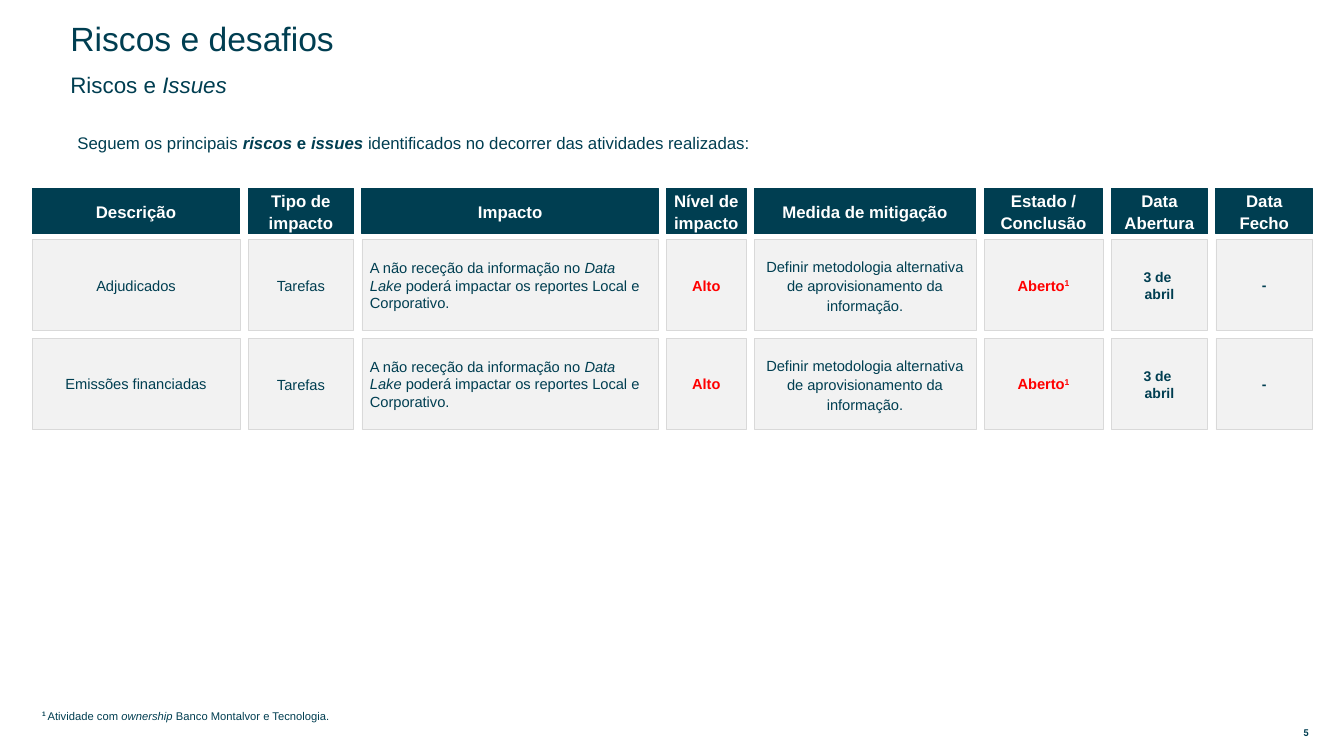
from dataclasses import dataclass
from itertools import accumulate

from pptx import Presentation
from pptx.dml.color import RGBColor
from pptx.enum.shapes import MSO_SHAPE
from pptx.enum.text import MSO_ANCHOR, PP_ALIGN
from pptx.util import Pt

PX = 9144  # EMU; 100 px to the inch

TEAL = RGBColor(0x00, 0x3E, 0x51)
WHITE = RGBColor(0xFF, 0xFF, 0xFF)
RED = RGBColor(0xFF, 0x00, 0x00)
CELL_FILL = RGBColor(0xF2, 0xF2, 0xF2)
CELL_LINE = RGBColor(0xD9, 0xD9, 0xD9)


@dataclass(frozen=True)
class Span:
    text: str
    italic: bool | None = None
    bold: bool | None = None
    raised: bool = False


@dataclass(frozen=True)
class Style:
    size: float
    color: RGBColor = TEAL
    bold: bool = False
    align: PP_ALIGN = PP_ALIGN.CENTER
    spacing: float = 1.0
    inset_x: int = 4
    inset_y: int = 4
    anchor: MSO_ANCHOR = MSO_ANCHOR.MIDDLE
    font: str = "Arial"


@dataclass(frozen=True)
class Box:
    left: int
    top: int
    width: int
    height: int

    def emu(self) -> tuple[int, ...]:
        return tuple(n * PX for n in (self.left, self.top, self.width, self.height))


@dataclass(frozen=True)
class Column:
    header: str
    width: int
    style: Style


@dataclass(frozen=True)
class Label:
    box: Box
    style: Style
    spans: list[Span]


Paragraphs = list[list[Span]]

HEADER = Style(12, WHITE, bold=True, spacing=1.1)
DATE = Style(10, bold=True, inset_x=12)
COLUMNS = [
    Column("Descrição", 206, Style(10.5)),
    Column("Tipo de impacto", 105, Style(10.5, spacing=1.1)),
    Column("Impacto", 294, Style(10.5, align=PP_ALIGN.LEFT, inset_x=8)),
    Column("Nível de impacto", 79, Style(10.4, RED, bold=True, inset_x=0, inset_y=0)),
    Column("Medida de mitigação", 220, Style(10.5, spacing=1.1, inset_x=12)),
    Column("Estado / Conclusão", 118, Style(10.5, RED, bold=True, inset_x=12)),
    Column("Data Abertura", 96, DATE),
    Column("Data Fecho", 96, DATE),
]
TABLE_LEFT, GAP = 32, 8
HEADER_TOP, HEADER_HEIGHT = 187, 45
ROWS_TOP, ROW_HEIGHT = 238, 90

RISKS = ["Adjudicados", "Emissões financiadas"]
SHARED_CELLS: list[Paragraphs] = [
    [[Span("Tarefas")]],
    [[Span("A não receção da informação no "), Span("Data Lake", italic=True),
      Span(" poderá impactar os reportes Local e Corporativo.")]],
    [[Span("Alto")]],
    [[Span("Definir metodologia alternativa de aprovisionamento da informação.")]],
    [[Span("Aberto"), Span("1", raised=True)]],
    [[Span("3 de ")], [Span("abril")]],
    [[Span("-")]],
]

HEADING = Style(24, align=PP_ALIGN.LEFT, spacing=0.9, inset_x=10, inset_y=5)
SUBHEADING = Style(16, align=PP_ALIGN.LEFT, spacing=0.9, inset_x=10, inset_y=5)
INTRO = Style(12, align=PP_ALIGN.LEFT, inset_x=10, inset_y=5, anchor=MSO_ANCHOR.TOP)
FOOTNOTE = Style(8, align=PP_ALIGN.LEFT, spacing=1.1, inset_x=10, inset_y=5,
                 anchor=MSO_ANCHOR.TOP)
PAGE_NUMBER = Style(6.8, bold=True, inset_x=6, inset_y=3, font="Roboto")
LABELS = [
    Label(Box(60, 27, 795, 26), HEADING, [Span("Riscos e desafios")]),
    Label(Box(60, 73, 766, 26), SUBHEADING,
          [Span("Riscos e "), Span("Issues", italic=True)]),
    Label(Box(67, 127, 1215, 44), INTRO,
          [Span("Seguem os principais "), Span("riscos ", italic=True, bold=True),
           Span("e ", bold=True), Span("issues ", italic=True, bold=True),
           Span("identificados no decorrer das atividades realizadas:")]),
    Label(Box(32, 697, 1176, 25), FOOTNOTE,
          [Span("1 ", bold=True, raised=True), Span("Atividade com "),
           Span("ownership", italic=True), Span(" Banco Montalvor e Tecnologia.")]),
    Label(Box(1273, 719, 45, 16), PAGE_NUMBER, [Span("5")]),
]


def write(sp, paragraphs: Paragraphs, style: Style) -> None:
    tf = sp.text_frame
    tf.word_wrap = True
    tf.vertical_anchor = style.anchor
    tf.margin_left = tf.margin_right = style.inset_x * PX
    tf.margin_top = tf.margin_bottom = style.inset_y * PX
    for i, spans in enumerate(paragraphs):
        p = tf.add_paragraph() if i else tf.paragraphs[0]
        p.alignment = style.align
        p.line_spacing = style.spacing
        p.font.name = style.font
        p.font.size = Pt(style.size)
        p.font.bold = style.bold
        p.font.color.rgb = style.color
        for span in spans:
            r = p.add_run()
            r.text = span.text
            r.font.italic = span.italic
            r.font.bold = span.bold
            if span.raised:
                r.font._element.set("baseline", "30000")


def add_label(slide, label: Label) -> None:
    sp = slide.shapes.add_textbox(*label.box.emu())
    write(sp, [label.spans], label.style)


def add_cell(slide, box: Box, paragraphs: Paragraphs, style: Style,
             fill: RGBColor, line: RGBColor, line_width: float) -> None:
    sp = slide.shapes.add_shape(MSO_SHAPE.RECTANGLE, *box.emu())
    sp.shadow.inherit = False
    sp.fill.solid()
    sp.fill.fore_color.rgb = fill
    sp.line.color.rgb = line
    sp.line.width = Pt(line_width)
    write(sp, paragraphs, style)


def add_risk_grid(slide) -> None:
    lefts = list(accumulate((c.width + GAP for c in COLUMNS), initial=TABLE_LEFT))
    for left, column in zip(lefts, COLUMNS):
        box = Box(left, HEADER_TOP, column.width, HEADER_HEIGHT)
        add_cell(slide, box, [[Span(column.header)]], HEADER, TEAL, TEAL, 0.75)
    for i, risk in enumerate(RISKS):
        top = ROWS_TOP + i * (ROW_HEIGHT + GAP)
        cells = [[[Span(risk)]], *SHARED_CELLS]
        for left, column, paragraphs in zip(lefts, COLUMNS, cells):
            box = Box(left, top, column.width, ROW_HEIGHT)
            add_cell(slide, box, paragraphs, column.style, CELL_FILL, CELL_LINE, 0.5)


def main() -> None:
    prs = Presentation()
    prs.slide_width, prs.slide_height = 1333 * PX, 750 * PX
    slide = prs.slides.add_slide(prs.slide_layouts[6])
    for label in LABELS:
        add_label(slide, label)
    add_risk_grid(slide)
    prs.save("out.pptx")


if __name__ == "__main__":
    main()
